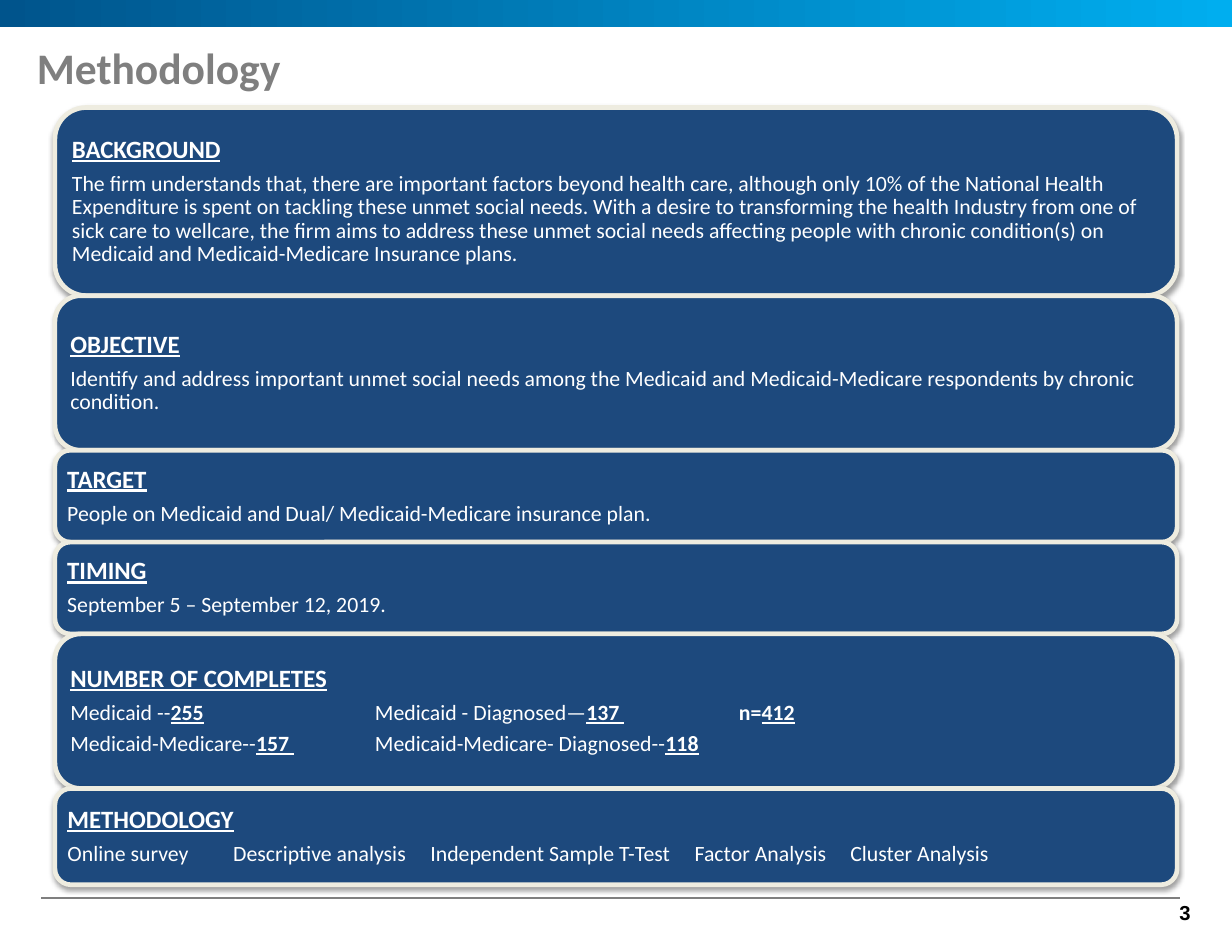
"""Build the Methodology slide with its stack of six rounded panels."""
from lxml.etree import SubElement
from pptx import Presentation
from pptx.dml.color import RGBColor
from pptx.enum.shapes import MSO_CONNECTOR, MSO_SHAPE
from pptx.enum.text import MSO_ANCHOR, PP_ALIGN
from pptx.oxml.ns import qn
from pptx.util import Inches, Pt


def rgb(value):
    return RGBColor.from_string(value)


def add_run(p, text, size, color, bold=False, underline=False, name="Calibri"):
    r = p.add_run()
    r.text = text
    r.font.color.rgb = rgb(color)
    font = {"name": name, "size": Pt(size), "bold": bold, "underline": underline}
    for key, value in font.items():
        setattr(r.font, key, value)


PLAIN, BOLD, KEY = (False, False), (True, False), (True, True)
PANELS = [
    ("BACKGROUND", 1.68, [], [[(
        "The firm understands that, there are important factors beyond health care, although only 10% "
        "of the National Health Expenditure is spent on tackling these unmet social needs. With a desire "
        "to transforming the health Industry from one of sick care to wellcare, the firm aims to address "
        "these unmet social needs affecting people with chronic condition(s) on Medicaid and "
        "Medicaid-Medicare Insurance plans.", PLAIN)]]),
    ("OBJECTIVE", 1.38, [], [[(
        "Identify and address important unmet social needs among the Medicaid and Medicaid-Medicare "
        "respondents by chronic condition.", PLAIN)]]),
    ("TARGET", 0.82, [], [[("People on Medicaid and Dual/ Medicaid-Medicare insurance plan.", PLAIN)]]),
    ("TIMING", 0.82, [], [[("September 5 – September 12, 2019.", PLAIN)]]),
    ("NUMBER OF COMPLETES", 1.38, [2.72, 5.97], [
        [("Medicaid --", PLAIN), ("255", KEY), ("\tMedicaid - Diagnosed—", PLAIN), ("137 ", KEY),
         ("\tn=", BOLD), ("412", KEY)],
        [("Medicaid-Medicare--", PLAIN), ("157 ", KEY),
         ("\tMedicaid-Medicare- Diagnosed--", PLAIN), ("118", KEY)]]),
    ("METHODOLOGY", 0.86, [1.48, 3.24, 5.6, 6.99], [[(
        "Online survey\tDescriptive analysis\tIndependent Sample T-Test\tFactor Analysis\tCluster Analysis",
        PLAIN)]]),
]

prs = Presentation()
prs.slide_width, prs.slide_height = Inches(11), Inches(8.5)
s = prs.slides.add_slide(prs.slide_layouts[5])

band = s.shapes.add_shape(MSO_SHAPE.RECTANGLE, 0, 0, prs.slide_width, Inches(0.24))
band.shadow.inherit = False
band.line.fill.background()
band.fill.gradient()
band.fill.gradient_angle = 0
for stop, color in zip(band.fill.gradient_stops, ("00548C", "00AEEF")):
    stop.color.rgb = rgb(color)

rule = s.shapes.add_connector(MSO_CONNECTOR.STRAIGHT, Inches(0.37), Inches(8.02), Inches(10.54), Inches(8.02))
rule.line.color.rgb = rgb("7F7F7F")
rule.line.width = Pt(1)
SubElement(rule._element.spPr, qn("a:effectLst"))

number = s.shapes.add_textbox(Inches(9.92), Inches(7.98), Inches(0.82), Inches(0.34))
tf = number.text_frame
frame = {"word_wrap": True, "margin_left": Inches(0.11), "margin_right": Inches(0.11),
         "margin_top": Inches(0.06), "margin_bottom": Inches(0.06)}
for key, value in frame.items():
    setattr(tf, key, value)
tf.paragraphs[0].alignment = PP_ALIGN.RIGHT
add_run(tf.paragraphs[0], "3", 13, "000000", bold=True, name="Arial")

top = 0.96
for heading, height, tabs, lines in PANELS:
    sp = s.shapes.add_shape(MSO_SHAPE.ROUNDED_RECTANGLE, Inches(0.49), Inches(top), Inches(10.02), Inches(height))
    top += height
    sp.fill.solid()
    sp.fill.fore_color.rgb = rgb("1D497D")
    sp.line.color.rgb = rgb("EEECE0")
    sp.line.width = Pt(3)
    sp.shadow.inherit = False
    shadow = SubElement(sp._element.spPr.find(qn("a:effectLst")), qn("a:outerShdw"),
                        blurRad=str(Pt(3.1)), dist=str(Pt(1.6)), dir="5400000", rotWithShape="0")
    SubElement(SubElement(shadow, qn("a:srgbClr"), val="000000"), qn("a:alpha"), val="37000")

    tf = sp.text_frame
    tf.word_wrap = True
    tf.vertical_anchor = MSO_ANCHOR.MIDDLE
    for side in ("left", "right", "top", "bottom"):
        setattr(tf, f"margin_{side}", Inches(0.07))
    p = tf.paragraphs[0]
    p.alignment, p.line_spacing = PP_ALIGN.LEFT, 0.9
    add_run(p, heading, 16, "FFFFFF", *KEY)
    for i, line in enumerate(lines):
        p = tf.add_paragraph()
        if tabs:
            tab_list = SubElement(p._p.get_or_add_pPr(), qn("a:tabLst"))
            for tab in tabs:
                SubElement(tab_list, qn("a:tab"), pos=str(Inches(tab)), algn="l")
        p.alignment, p.line_spacing = PP_ALIGN.LEFT, 0.9
        p.space_before = Pt(4.9 if i else 5.6)
        for text, (bold, underline) in line:
            add_run(p, text, 14, "FFFFFF", bold, underline)

title = s.shapes.title
place = {"left": 0, "top": Inches(0.24), "width": prs.slide_width, "height": Inches(0.72)}
for key, value in place.items():
    setattr(title, key, value)
tf = title.text_frame
frame = {"word_wrap": True, "vertical_anchor": MSO_ANCHOR.MIDDLE, "margin_left": Inches(0.33),
         "margin_right": Inches(0.1), "margin_top": Inches(0.05), "margin_bottom": Inches(0.05)}
for key, value in frame.items():
    setattr(tf, key, value)
tf.paragraphs[0].alignment = PP_ALIGN.LEFT
add_run(tf.paragraphs[0], "Methodology", 28, "7F7F7F", bold=True)

prs.save("out.pptx")
